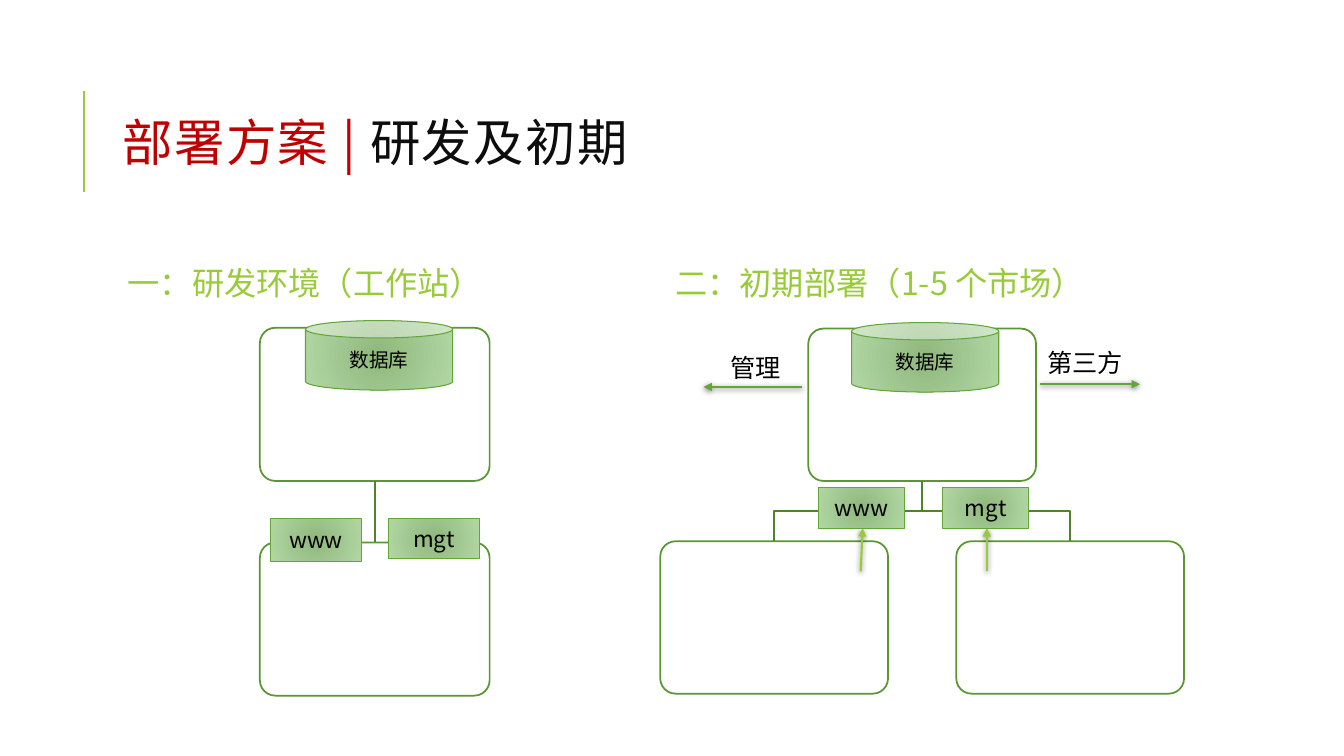
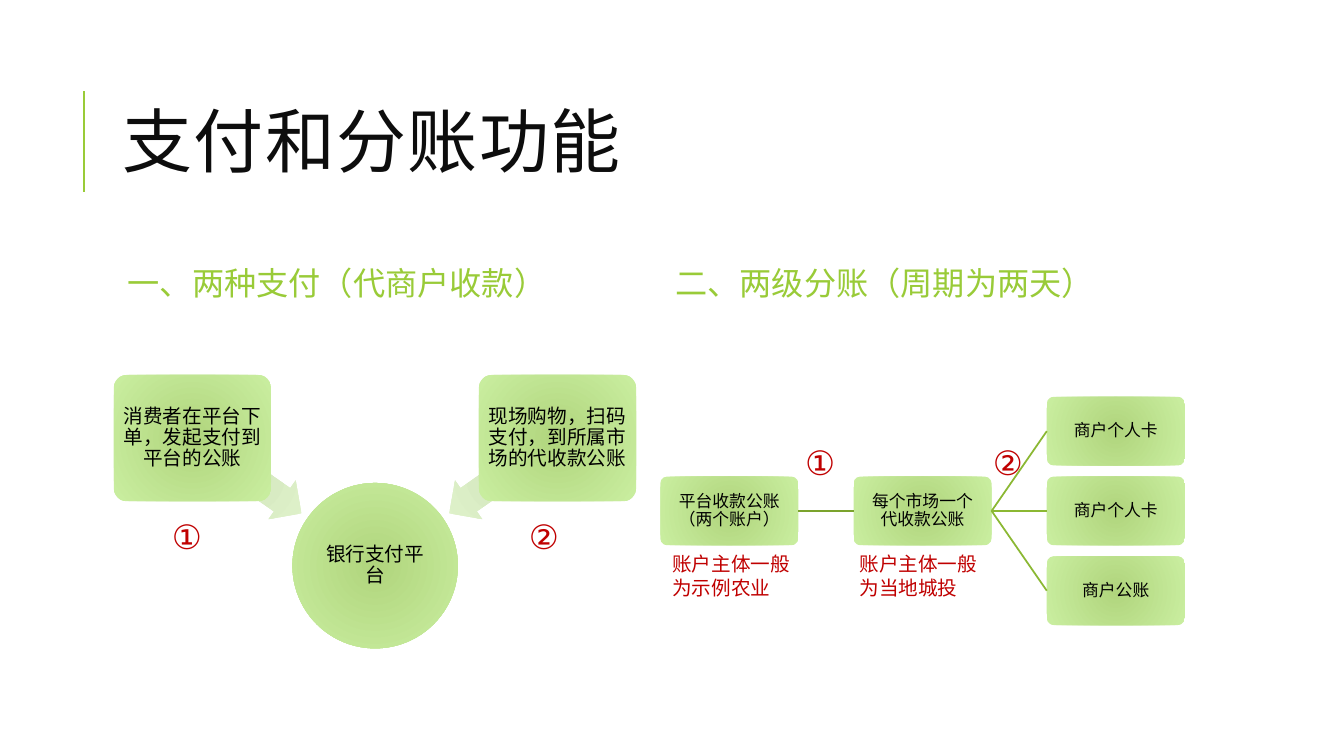
from lxml.etree import SubElement
from pptx import Presentation
from pptx.dml.color import RGBColor
from pptx.enum.shapes import MSO_CONNECTOR as Link, MSO_SHAPE as Form
from pptx.enum.text import MSO_ANCHOR as Anchor, PP_ALIGN as Align
from pptx.oxml.ns import qn
from pptx.util import Cm, Pt

NOTO = "Noto Sans CJK SC"
LIME, RED, INK, BLACK, WHITE = "99CB38", "C00000", "0D0D0D", "000000", "FFFFFF"
EDGE, STEM, LEAF = "5A9632", "4F842C", "63A537"
TRUNK, TWIG = "7BA32D", "8BB833"
MOSS, MINT, PALE = ("8FB87D", "B2D7A4"), ("B0D57D", "CAEEA0"), ("D4E7BF", "E1F4CC")
LEFT, RIGHT = 2.84, 16.64

DEPLOY = dict(
    title=[("部署方案 | ", RED), ("研发及初期", INK)], size=36, face=NOTO,
    heads=["一：研发环境（工作站）", "二：初期部署（1-5 个市场）"], type=NOTO)
PAY = dict(
    title=[("支付和分账功能", INK)], size=50, face="Calibri",
    heads=["一、两种支付（代商户收款）", "二、两级分账（周期为两天）"], type="Cabin")

STACK = [(6.55, 8.26), (6.55, 13.67)]
STACK_SIZE = (5.79, 3.86)
KID_Y, KID_STEP = 13.64, 7.46
TREE = [(RIGHT + KID_STEP / 2, 8.28), (RIGHT, KID_Y), (RIGHT + KID_STEP, KID_Y)]
TREE_SIZE = (5.74, 3.84)
CANS = [(7.7, 8.08), (21.46, 8.13)]
TAGS = [("www", (6.81, 13.06, 2.31, 1.09)), ("mgt", (9.78, 13.06, 2.31, 1.02)),
        ("www", (20.62, 12.29, 2.18, 1.02)), ("mgt", (23.75, 12.29, 2.18, 1.02))]
LABELS = [("管理", (18.16, 8.74, 1.8, 1.02)), ("第三方", (26.14, 8.61, 2.44, 1.02))]
ARROWS = [((26.21, 9.68), (28.73, 9.68), LEAF), ((20.22, 9.75), (17.73, 9.75), LEAF),
          ((21.69, 14.4), (21.74, 13.31), LIME), ((24.87, 14.4), (24.87, 13.31), LIME)]

WAYS = [("消费者在平台下单，发起支付到平台的公账", 2.87, 4.55, 215),
        ("现场购物，扫码支付，到所属市场的代收款公账", 12.07, 11.02, 325)]
HUB = "银行支付平台"
STEPS = ["平台收款公账（两个账户）", "每个市场一个\n代收款公账"]
CARDS = ["商户个人卡", "商户个人卡", "商户公账"]
NODE_W, NODE_H, NODE_Y, STEP_X, STEP_Y = 3.48, 1.73, 12.01, 4.87, 2.01
MARKS = [("①", 20.67, 11), ("②", 25.4, 11), ("①", 4.71, 12.88), ("②", 13.71, 12.88)]
NOTES = [("账户主体一般为示例农业", 16.69), ("账户主体一般为当地城投", 21.41)]


def hue(code):
    return RGBColor.from_string(code)


def cms(nums):
    return [Cm(num) for num in nums]


def write(shape, runs, size, face=NOTO, align=Align.LEFT, mid=False,
          pad=(0.25, 0.13), space=None, track=None, wrap=True):
    frame = shape.text_frame
    frame.word_wrap = wrap
    frame.vertical_anchor = Anchor.MIDDLE if mid else Anchor.TOP
    frame.margin_left = frame.margin_right = Cm(pad[0])
    frame.margin_top = frame.margin_bottom = Cm(pad[1])
    para = frame.paragraphs[0]
    para.alignment = align
    if space:
        para.line_spacing = space
    for text, tint in runs:
        for row, line in enumerate(text.split("\n")):
            if row:
                para.add_line_break()
            run = para.add_run()
            run.text = line
            font = run.font
            font.size, font.name = Pt(size), face
            font.color.rgb = hue(tint)
            props = run._r.get_or_add_rPr()
            SubElement(props, qn("a:ea"), typeface=NOTO)
            if track:
                props.set("spc", str(track))


def label(slide, place, runs, size, **style):
    write(slide.shapes.add_textbox(*cms(place)), runs, size, **style)


def glow(shape, pair):
    fill = shape.fill
    fill.gradient()
    for stop, code in zip(fill.gradient_stops, pair):
        stop.color.rgb = hue(code)
    grad = shape._element.spPr.find(qn("a:gradFill"))
    grad.remove(grad.find(qn("a:lin")))
    ring = SubElement(grad, qn("a:path"), path="circle")
    SubElement(ring, qn("a:fillToRect"), **dict.fromkeys("ltrb", "100000"))


def block(slide, form, place, fill, edge=None, width=0.75, adj=()):
    shape = slide.shapes.add_shape(form, *cms(place))
    shape.shadow.inherit = False
    for spot, value in enumerate(adj):
        shape.adjustments[spot] = value
    if isinstance(fill, tuple):
        glow(shape, fill)
    else:
        shape.fill.solid()
        shape.fill.fore_color.rgb = hue(fill)
    if edge:
        shape.line.color.rgb = hue(edge)
        shape.line.width = Pt(width)
    else:
        shape.line.fill.background()
    return shape


def rule(slide, start, end, tint, width=1.5, arrow=False):
    line = slide.shapes.add_connector(Link.STRAIGHT, *cms(start + end))
    line.line.color.rgb = hue(tint)
    line.line.width = Pt(width)
    props = line._element.spPr
    if arrow:
        SubElement(props.find(qn("a:ln")), qn("a:tailEnd"), type="triangle")
    cast = SubElement(props, qn("a:effectLst"))
    if arrow:
        shade = SubElement(cast, qn("a:outerShdw"), blurRad="50800", dist="12700",
                           dir="5400000", rotWithShape="0")
        tone = SubElement(shade, qn("a:srgbClr"), val=BLACK)
        SubElement(tone, qn("a:alpha"), val="50000")
    return line


def join(slide, first, out, last, into, tint):
    line = rule(slide, (0, 0), (1, 1), tint, 1.25)
    line.begin_connect(first, out)
    line.end_connect(last, into)


def elbow(slide, top, kid):
    x, y = top.left + top.width // 2, top.top + top.height
    end = kid.left + kid.width // 2
    half = (y + kid.top) // 2
    pen = slide.shapes.build_freeform(x, y)
    pen.add_line_segments([(x, half), (end, half), (end, kid.top)], close=False)
    bend = pen.convert_to_shape()
    bend.shadow.inherit = False
    bend.fill.background()
    bend.line.color.rgb = hue(STEM)
    bend.line.width = Pt(1.25)


def start(deck, page):
    slide = deck.slides.add_slide(deck.slide_layouts[6])
    rule(slide, (2.11, 4.83), (2.11, 2.29), LIME)
    label(slide, (LEFT, 1.63, 27, 4.17), page["title"], page["size"],
          face=page["face"], mid=True, space=0.8, track=100)
    for text, x in zip(page["heads"], (LEFT, RIGHT)):
        label(slide, (x, 6.05, 13.21, 2.29), [(text, LIME)], 23, face=page["type"],
              mid=True, pad=(0.38, 0.13), space=0.9)
    return slide


def deploy(deck):
    slide = start(deck, DEPLOY)
    upper, lower = [block(slide, Form.ROUNDED_RECTANGLE, spot + STACK_SIZE, WHITE,
                          EDGE, 1.25, [0.1]) for spot in STACK]
    join(slide, upper, 2, lower, 0, STEM)
    top, *kids = [block(slide, Form.ROUNDED_RECTANGLE, spot + TREE_SIZE, WHITE,
                        EDGE, 1.25, [0.1]) for spot in TREE]
    for kid in kids:
        elbow(slide, top, kid)
    for spot in CANS:
        can = block(slide, Form.CAN, spot + (3.71, 1.75), MOSS, LEAF)
        write(can, [("数据库", BLACK)], 14, align=Align.CENTER, mid=True)
    for first, last, tint in ARROWS:
        rule(slide, first, last, tint, arrow=True)
    for text, place in TAGS:
        tag = block(slide, Form.RECTANGLE, place, MOSS, LEAF)
        write(tag, [(text, BLACK)], 16, align=Align.CENTER, mid=True)
    for text, place in LABELS:
        label(slide, place, [(text, BLACK)], 18, wrap=False)


def node(slide, form, place, text, size, pad):
    adj = [0.1] if form == Form.ROUNDED_RECTANGLE else []
    shape = block(slide, form, place, MINT, adj=adj)
    write(shape, [(text, BLACK)], size, align=Align.CENTER, mid=True,
          pad=(pad, pad), space=0.9)
    return shape


def pay(deck):
    slide = start(deck, PAY)
    node(slide, Form.OVAL, (7.37, 12.17, 4.17, 4.17), HUB, 14, 0.03)
    for text, x, tip, turn in WAYS:
        arrow = block(slide, Form.LEFT_ARROW, (tip, 11.38, 3.35, 1.19), PALE,
                      adj=[0.6, 0.5])
        arrow.rotation = turn
        node(slide, Form.ROUNDED_RECTANGLE, (x, 9.45, 3.96, 3.18), text, 14, 0.08)

    def cell(text, col, row=0):
        place = (RIGHT + col * STEP_X, NODE_Y + row * STEP_Y, NODE_W, NODE_H)
        return node(slide, Form.ROUNDED_RECTANGLE, place, text, 12, 0.03)

    bank, market = [cell(text, col) for col, text in enumerate(STEPS)]
    join(slide, bank, 3, market, 1, TRUNK)
    for row, text in enumerate(CARDS, -1):
        join(slide, market, 3, cell(text, 2, row), 1, TWIG)
    for text, x, y in MARKS:
        label(slide, (x - 0.75, y, 1.5, 1.27), [(text, RED)], 24, face="Arial",
              align=Align.CENTER, wrap=False)
    for text, x in NOTES:
        label(slide, (x, 13.79, 3.68, 1.45), [(text, RED)], 14)


def main():
    deck = Presentation()
    deck.slide_width, deck.slide_height = Cm(33.87), Cm(19.05)
    deploy(deck)
    pay(deck)
    deck.save("out.pptx")


if __name__ == "__main__":
    main()
